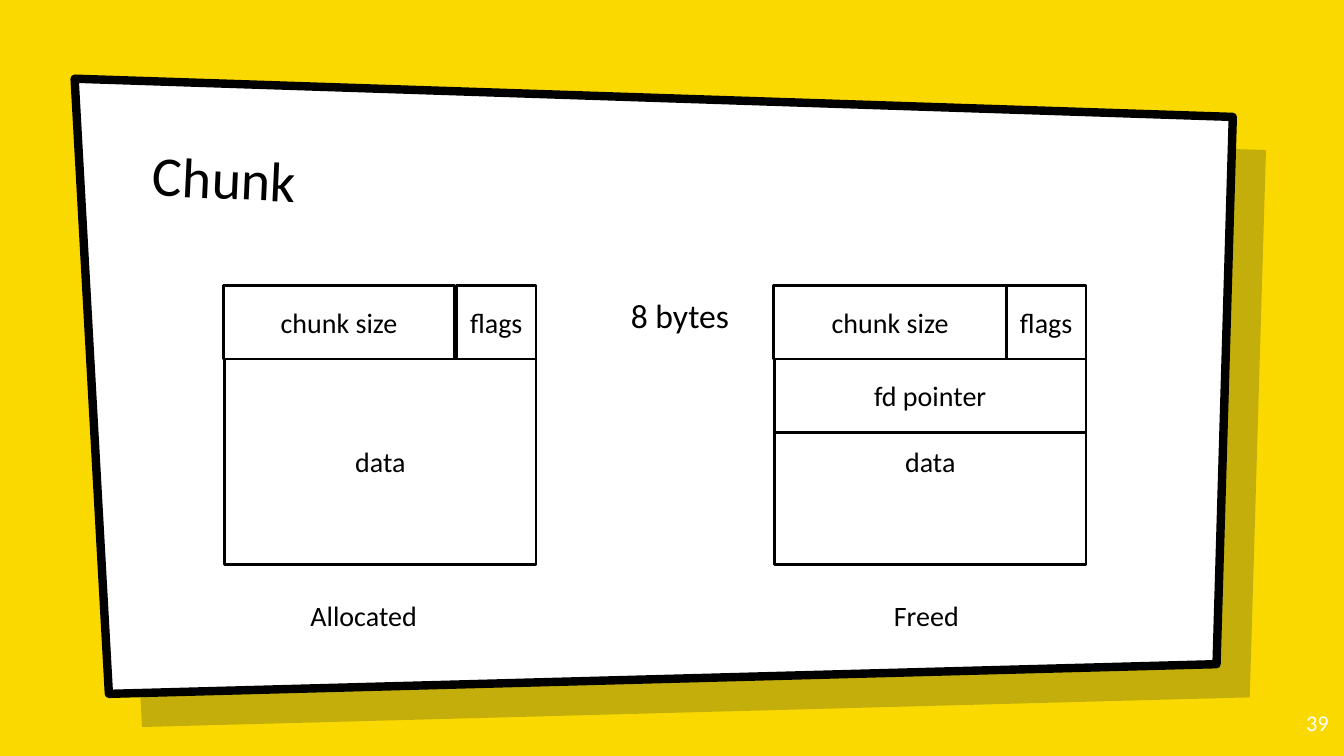
from lxml.etree import SubElement
from pptx import Presentation
from pptx.dml.color import RGBColor
from pptx.enum.shapes import MSO_SHAPE as Shape
from pptx.enum.text import MSO_ANCHOR as Anchor, PP_ALIGN as Align
from pptx.oxml.ns import qn
from pptx.util import Pt

YELLOW = RGBColor(0xFA, 0xD9, 0x00)
NAVY = RGBColor(0x00, 0x19, 0x36)
BLACK = RGBColor(0x00, 0x00, 0x00)
WHITE = RGBColor(0xFF, 0xFF, 0xFF)

PANEL = [(53.3, 56.2), (880.6, 83.5), (869, 474.4), (77.8, 495.6)]
SHADOW_OFFSET = 23.7
CHUNK_TOP, ROW, WIDTH, FLAGS = 203.8, 52.6, 222.5, 56.9
DATA_HEIGHT = 146.9


def set_all(target, values):
    """Set each attribute of the target from a dict."""
    for key, value in values.items():
        setattr(target, key, value)


def write(shape, text, size, color=BLACK, align=Align.LEFT, anchor=Anchor.TOP,
          inset=(7.2, 3.6), wrap=True):
    """Fill a shape with one formatted paragraph and return that paragraph."""
    frame = shape.text_frame
    side, edge = map(Pt, inset)
    set_all(frame, {"word_wrap": wrap, "vertical_anchor": anchor,
                    "margin_left": side, "margin_right": side,
                    "margin_top": edge, "margin_bottom": edge})
    paragraph = frame.paragraphs[0]
    paragraph.alignment = align
    run = paragraph.add_run()
    run.text = text
    set_all(run.font, {"name": "Calibri", "size": Pt(size)})
    run.font.color.rgb = color
    return paragraph


def add_label(slide, text, box, size, **options):
    """Add a text box and return its shape and paragraph."""
    label = slide.shapes.add_textbox(*map(Pt, box))
    return label, write(label, text, size, **options)


def paint(shape, fill, line_width=0):
    """Give a shape a flat fill and an optional black outline."""
    shape.shadow.inherit = False
    shape.fill.solid()
    shape.fill.fore_color.rgb = fill
    if line_width:
        shape.line.color.rgb = BLACK
        shape.line.width = Pt(line_width)
    else:
        shape.line.fill.background()


def add_panel(slide, offset, fill, line_width=0):
    """Add the tilted panel outline, shifted by the offset."""
    corners = [(Pt(x + offset), Pt(y + offset)) for x, y in PANEL]
    builder = slide.shapes.build_freeform(*corners[0])
    builder.add_line_segments(corners[1:], close=True)
    panel = builder.convert_to_shape()
    paint(panel, fill, line_width)
    return panel


def add_field(slide, text, left, top, width, height):
    """Add one outlined field of a chunk."""
    field = slide.shapes.add_shape(Shape.RECTANGLE, *map(Pt, (left, top, width, height)))
    paint(field, WHITE, 2)
    write(field, text, 20, align=Align.CENTER, anchor=Anchor.MIDDLE)


def add_chunk(slide, left, size_left, size_width, freed):
    """Add a chunk with its header, data and, when freed, its pointer."""
    body_top = CHUNK_TOP + ROW
    add_field(slide, "chunk size", size_left, CHUNK_TOP, size_width, ROW)
    add_field(slide, "data", left, body_top, WIDTH, DATA_HEIGHT)
    add_field(slide, "flags", left + WIDTH - FLAGS, CHUNK_TOP, FLAGS, ROW)
    if freed:
        add_field(slide, "fd pointer", left, body_top, WIDTH, ROW)


def main():
    """Build the slide and save it."""
    deck = Presentation()
    set_all(deck, {"slide_width": Pt(960), "slide_height": Pt(540)})
    slide = deck.slides.add_slide(deck.slide_layouts[6])
    slide.background.fill.solid()
    slide.background.fill.fore_color.rgb = YELLOW

    shade = add_panel(slide, SHADOW_OFFSET, NAVY)
    tint = shade.fill._xPr.find(qn("a:solidFill"))[0]
    SubElement(tint, qn("a:alpha"), val="22000")
    add_panel(slide, 0, WHITE, 6)

    wide = (7.2, 7.2)
    title, _ = add_label(slide, "Chunk", (102.2, 92.2, 738, 79.9), 40,
                         anchor=Anchor.BOTTOM, inset=wide)
    title.rotation = 2.7
    _, row_size = add_label(slide, "8 bytes", (439.2, 203.8, 402.5, 261.4), 24, inset=wide)
    row_size.space_before = Pt(8)
    row_size._p.get_or_add_pPr().set("marL", str(Pt(4.3)))
    add_label(slide, "39", (898.6, 499, 57.6, 41), 16, color=WHITE,
              align=Align.RIGHT, inset=wide)

    add_chunk(slide, 160.4, 159.6, 165.2, freed=False)
    add_chunk(slide, 553.2, 552.7, 166.2, freed=True)
    for caption, left, width in (("Allocated", 214.6, 99.4), ("Freed", 631.4, 66.2)):
        add_label(slide, caption, (left, 424.1, width, 31.7), 20, wrap=False)

    deck.save("out.pptx")


if __name__ == "__main__":
    main()
